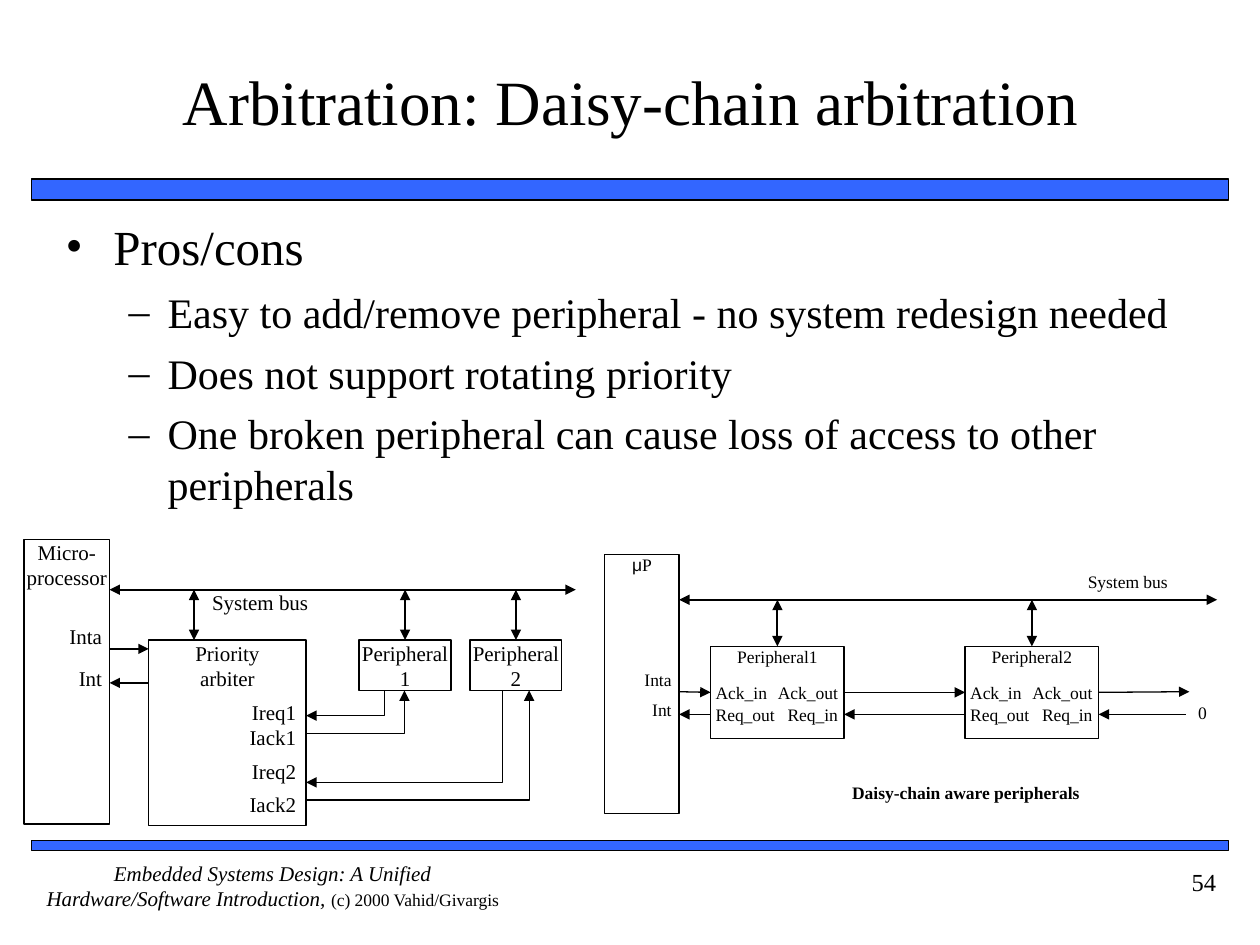
from dataclasses import dataclass

from lxml import etree
from pptx import Presentation
from pptx.dml.color import RGBColor
from pptx.enum import shapes as kinds, text as txt
from pptx.oxml import ns
from pptx.util import Inches, Pt

LEFT, CENTER, RIGHT = txt.PP_ALIGN.LEFT, txt.PP_ALIGN.CENTER, txt.PP_ALIGN.RIGHT
SIDE_TOP, SIDE_LEFT, SIDE_RIGHT = 0, 1, 3


@dataclass(frozen=True)
class Theme:
    serif: str = "Times New Roman"
    sans: str = "Arial"
    ink: RGBColor = RGBColor(0, 0, 0)
    paper: RGBColor = RGBColor(255, 255, 255)
    bar: RGBColor = RGBColor(0x33, 0x66, 0xFF)
    title: int = 36
    bullets: tuple = (28, 24)
    number: int = 14
    normal: int = 12
    small: int = 10
    thin: float = 0.75
    frame: float = 1
    bus: float = 1.25


THEME = Theme()


def inches(*values):
    return [Inches(value) for value in values]


def style_font(font, size, name=THEME.serif, bold=False, italic=False):
    font.name, font.size = name, Pt(size)
    font.bold, font.italic = bold, italic
    font.color.rgb = THEME.ink


def style_line(line, width):
    line.color.rgb = THEME.ink
    line.width = Pt(width)


def add_arrowheads(shape, *ends):
    """Put a triangle on each named end: headEnd is the start, tailEnd the finish."""
    line = shape.line._get_or_add_ln()
    for end in ends:
        etree.SubElement(line, ns.qn(f"a:{end}"), type="triangle")


def write(frame, content, size, align=CENTER, insets=(0, 0), bold=False):
    frame.word_wrap = True
    frame.vertical_anchor = txt.MSO_ANCHOR.TOP
    frame.margin_left = frame.margin_right = Inches(insets[0])
    frame.margin_top = frame.margin_bottom = Inches(insets[1])
    frame.text = content
    for paragraph in frame.paragraphs:
        paragraph.alignment = align
        style_font(paragraph.font, size, bold=bold)


def add_label(parent, at, content, size, align=CENTER, **options):
    label = parent.add_textbox(*inches(*at))
    write(label.text_frame, content, size, align, **options)
    return label


def add_box(parent, at, content="", size=THEME.normal, fill=THEME.paper, width=THEME.thin):
    box = parent.add_shape(kinds.MSO_SHAPE.RECTANGLE, *inches(*at))
    box.shadow.inherit = False
    box.fill.solid()
    box.fill.fore_color.rgb = fill
    style_line(box.line, width)
    if content:
        write(box.text_frame, content, size)
    return box


def add_arrow(parent, start, finish, width=THEME.thin, double=False, source=None, target=None):
    """Draw a straight arrow; source and target are (box, side) pairs to join."""
    arrow = parent.add_connector(kinds.MSO_CONNECTOR.STRAIGHT, *inches(*start, *finish))
    if source:
        arrow.begin_connect(*source)
    if target:
        arrow.end_connect(*target)
    style_line(arrow.line, width)
    add_arrowheads(arrow, *(["headEnd"] if double else []), "tailEnd")
    etree.SubElement(arrow._element.spPr, ns.qn("a:effectLst"))


def add_bent_arrow(parent, points):
    start, *rest = [inches(*point) for point in points]
    builder = parent.build_freeform(*start, scale=1.0)
    builder.add_line_segments(rest, close=False)
    wire = builder.convert_to_shape()
    wire.shadow.inherit = False
    wire.fill.background()
    style_line(wire.line, THEME.thin)
    add_arrowheads(wire, "tailEnd")


def fill_title(title, content):
    title.left, title.top, title.width, title.height = inches(0.42, 0.17, 9.17, 1.25)
    write(title.text_frame, content, THEME.title, insets=(0, 0.05))
    title.text_frame.vertical_anchor = txt.MSO_ANCHOR.MIDDLE


def fill_bullets(body, items):
    """Write (level, text) items with hanging bullets."""
    body.left, body.top, body.width, body.height = inches(0.42, 1.67, 9.17, 4.92)
    frame = body.text_frame
    write(frame, "\n".join(content for _, content in items), THEME.bullets[0], LEFT, (0.1, 0.05))
    frame.auto_size = txt.MSO_AUTO_SIZE.NONE
    for paragraph, (level, _) in zip(frame.paragraphs, items):
        paragraph.level = level
        paragraph.font.size = Pt(THEME.bullets[level])
        paragraph.space_before = Pt((7, 6)[level])
        properties = paragraph._p.get_or_add_pPr()
        properties.set("marL", str(Inches((0.38, 0.81)[level])))
        properties.set("indent", str(-Inches((0.38, 0.31)[level])))
        default_font = properties.find(ns.qn("a:defRPr"))
        for tag, attribute, value in (("buFont", "typeface", THEME.serif),
                                      ("buChar", "char", "•–"[level])):
            bullet = etree.Element(ns.qn(f"a:{tag}"))
            bullet.set(attribute, value)
            default_font.addprevious(bullet)


def add_footer(parent):
    footer = add_label(parent, (0.25, 6.83, 3.83, 0.5), "", THEME.normal)
    paragraph = footer.text_frame.paragraphs[0]
    for content, size, italic in (
            ("Embedded Systems Design: A Unified Hardware/Software Introduction, ", THEME.normal, True),
            ("(c) 2000 Vahid/Givargis", THEME.small, False)):
        run = paragraph.add_run()
        run.text = content
        style_font(run.font, size, italic=italic)
    add_label(parent, (8.75, 6.83, 1, 0.5), "54", THEME.number, RIGHT, insets=(0.1, 0.05))


def draw_arbiter_system(parent):
    """Microprocessor with a priority arbiter and two peripherals."""
    cpu_right, arbiter_left, arbiter_right = 0.87, 1.18, 2.43
    bus_y, box_top, box_bottom = 4.68, 5.08, 5.48
    add_box(parent, (0.19, 4.28, 0.68, 2.26), "Micro-processor")
    add_box(parent, (arbiter_left, box_top, 1.25, 1.47), "Priority\narbiter")
    add_arrow(parent, (cpu_right, bus_y), (4.57, bus_y), THEME.bus, double=True)
    add_arrow(parent, (1.54, bus_y), (1.54, box_top), THEME.bus, double=True)
    add_label(parent, (1.49, bus_y, 1.15, 0.2), "System bus", THEME.normal)

    for number, left in enumerate((2.85, 3.73), 1):
        middle = left + 0.365
        peripheral = add_box(parent, (left, box_top, 0.73, 0.4), f"Peripheral{number}")
        add_arrow(parent, (middle, bus_y), (middle, box_top), THEME.bus, double=True,
                  target=(peripheral, SIDE_TOP))

    add_arrow(parent, (cpu_right, 5.15), (arbiter_left, 5.15))
    add_arrow(parent, (arbiter_left, 5.42), (cpu_right, 5.42))
    for content, top in (("Inta", 4.95), ("Int", 5.28)):
        add_label(parent, (0.54, top, 0.27, 0.2), content, THEME.normal, RIGHT)
    for content, top in (("Ireq1", 5.55), ("Iack1", 5.75), ("Ireq2", 6.02), ("Iack2", 6.28)):
        add_label(parent, (1.93, top, 0.42, 0.2), content, THEME.normal, RIGHT)

    for request_x, request_y, ack_x, ack_y in ((3.05, 5.68, 3.21, 5.82), (3.99, 6.21, 4.2, 6.35)):
        add_bent_arrow(parent, [(request_x, box_bottom), (request_x, request_y),
                                (arbiter_right, request_y)])
        add_bent_arrow(parent, [(arbiter_right, ack_y), (ack_x, ack_y), (ack_x, box_bottom)])


def draw_daisy_chain(parent):
    """Microprocessor with two peripherals passing acknowledge and request along."""
    cpu_right, bus_y, box_top, box_width = 5.39, 4.76, 5.13, 1.06
    ack_y, request_y = 5.49, 5.67
    cpu = add_box(parent, (4.8, 4.4, 0.59, 2.06), "μ", THEME.small)
    name = cpu.text_frame.paragraphs[0]
    name.runs[0].font.name = THEME.sans
    name.add_run().text = "P"
    add_arrow(parent, (cpu_right, bus_y), (9.66, bus_y), THEME.bus, double=True)
    add_label(parent, (8.44, 4.53, 1.02, 0.18), "System bus", THEME.small)
    for content, top in (("Inta", 5.31), ("Int", 5.55)):
        add_label(parent, (5.03, top, 0.3, 0.18), content, THEME.small, RIGHT)

    previous, previous_right = None, cpu_right
    for number, left in enumerate((5.64, 7.66), 1):
        middle, right = left + box_width / 2, left + box_width
        peripheral = add_box(parent, (left, box_top, box_width, 0.73),
                             f"Peripheral{number}", THEME.small)
        add_arrow(parent, (middle, bus_y), (middle, box_top), THEME.bus, double=True,
                  target=(peripheral, SIDE_TOP))
        for signal, top in (("Ack", 5.41), ("Req", 5.59)):
            inner, outer = ("in", "out") if signal == "Ack" else ("out", "in")
            add_label(parent, (left + 0.04, top, 0.48, 0.18), f"{signal}_{inner}", THEME.small, LEFT)
            add_label(parent, (right - 0.56, top, 0.51, 0.18), f"{signal}_{outer}", THEME.small, RIGHT)
        add_arrow(parent, (previous_right, ack_y), (left, ack_y),
                  source=previous and (previous, SIDE_RIGHT), target=(peripheral, SIDE_LEFT))
        add_arrow(parent, (left, request_y), (previous_right, request_y))
        previous, previous_right = peripheral, right

    add_arrow(parent, (previous_right, ack_y), (9.44, ack_y), source=(previous, SIDE_RIGHT))
    add_arrow(parent, (9.41, request_y), (previous_right, request_y))
    add_label(parent, (9.51, 5.57, 0.13, 0.18), "0", THEME.small, LEFT)
    add_label(parent, (6.31, 6.21, 2.71, 0.24), "Daisy-chain aware peripherals", THEME.small, bold=True)


def main():
    deck = Presentation()
    deck.slide_width, deck.slide_height = inches(10, 7.5)
    slide = deck.slides.add_slide(deck.slide_layouts[1])
    for top, height in ((1.42, 0.17), (6.67, 0.08)):
        add_box(slide.shapes, (0.25, top, 9.5, height), fill=THEME.bar, width=THEME.frame)
    fill_title(slide.shapes.title, "Arbitration: Daisy-chain arbitration")
    fill_bullets(slide.placeholders[1], [
        (0, "Pros/cons"),
        (1, "Easy to add/remove peripheral - no system redesign needed"),
        (1, "Does not support rotating priority"),
        (1, "One broken peripheral can cause loss of access to other peripherals"),
    ])
    draw_daisy_chain(slide.shapes.add_group_shape().shapes)
    draw_arbiter_system(slide.shapes.add_group_shape().shapes)
    add_footer(slide.shapes)
    deck.save("out.pptx")


if __name__ == "__main__":
    main()
